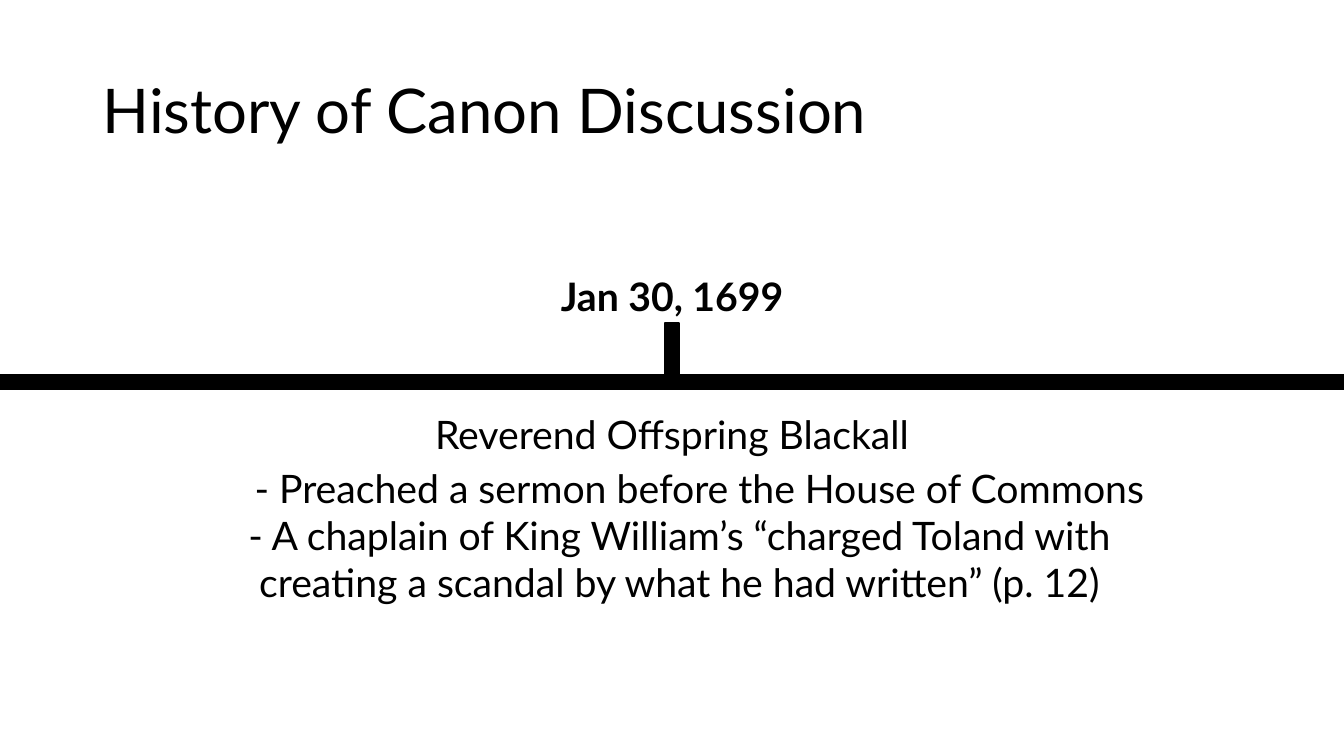
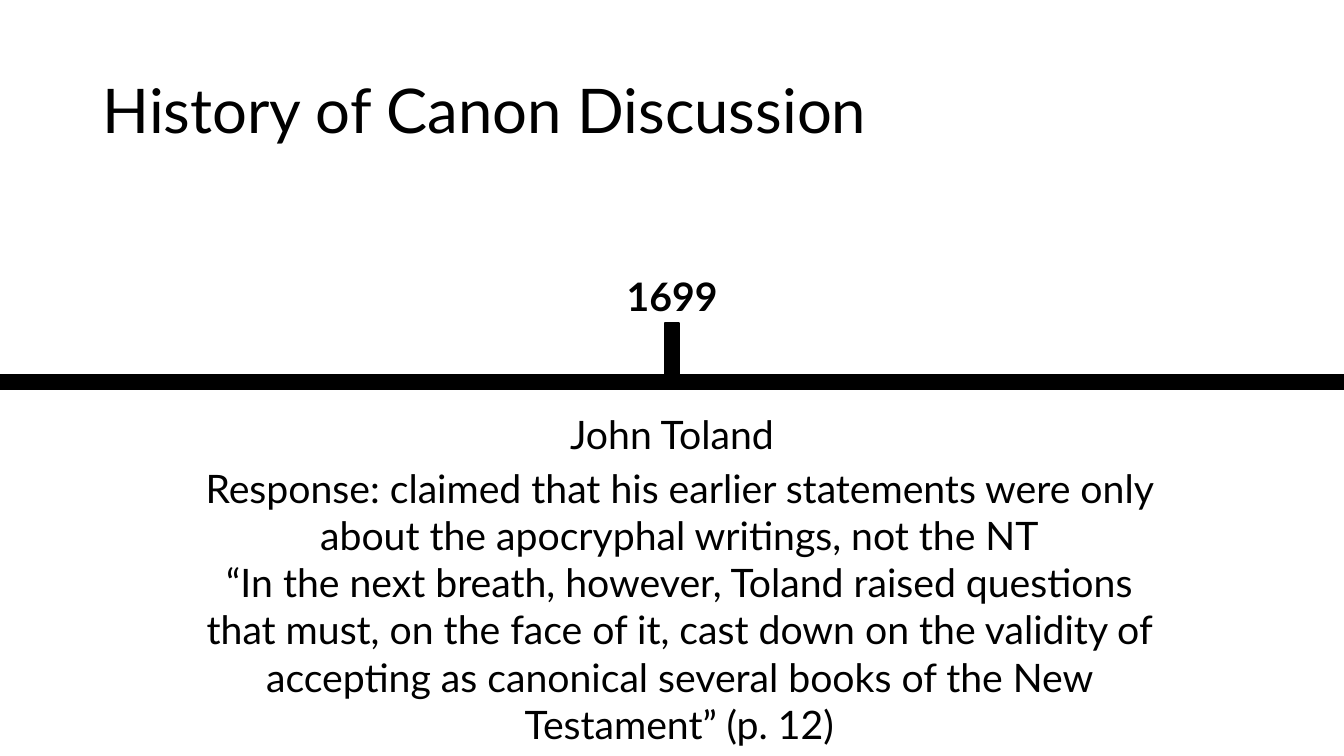
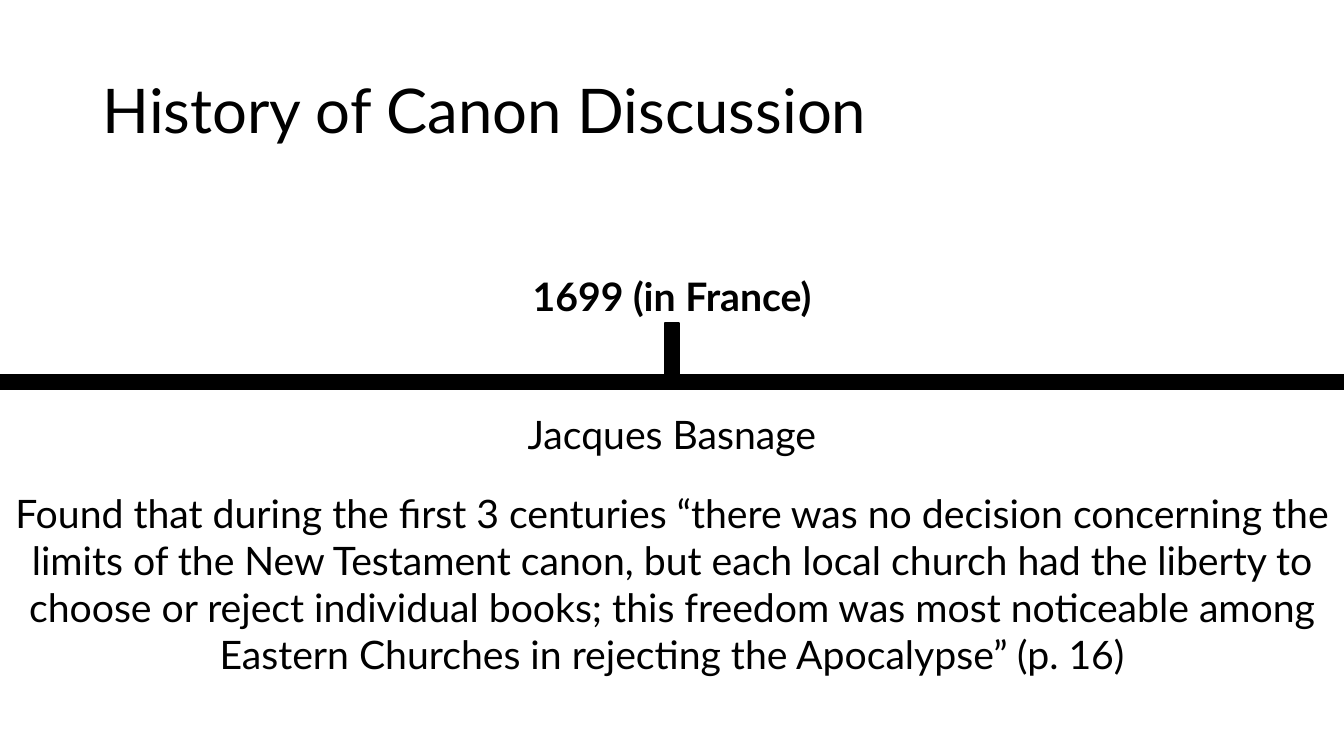
from pptx import Presentation
from pptx.dml.color import RGBColor
from pptx.enum.shapes import MSO_SHAPE
from pptx.enum.text import MSO_ANCHOR, MSO_AUTO_SIZE, PP_ALIGN
from pptx.util import Pt

# Content
TITLE = "History of Canon Discussion"
EVENTS = [
    {"date": "Jan 30, 1699", "person": "Reverend Offspring Blackall",
     "details": ["- Preached a sermon before the House of Commons",
                 "- A chaplain of King William’s “charged Toland with creating "
                 "a scandal by what he had written” (p. 12)"],
     "place": (131, 328.3, 708.5), "lines": 3, "first_indent": 28.6},
    {"date": "1699", "person": "John Toland",
     "details": ["Response: claimed that his earlier statements were only about "
                 "the apocryphal writings, not the NT",
                 "“In the next breath, however, Toland raised questions that "
                 "must, on the face of it, cast down on the validity of accepting "
                 "as canonical several books of the New Testament” (p. 12)"],
     "place": (131, 328.3, 708.5), "lines": 6, "first_indent": 0},
    {"date": "1699 (in France)", "person": "Jacques Basnage",
     "details": ["Found that during the first 3 centuries “there was no decision "
                 "concerning the limits of the New Testament canon, but each local "
                 "church had the liberty to choose or reject individual books; this "
                 "freedom was most noticeable among Eastern Churches in rejecting "
                 "the Apocalypse” (p. 16)"],
     "place": (0, 345.6, 960), "lines": 4, "first_indent": 0},
]

# Shared style and layout, in points
COLORS = {"ink": "000000", "paper": "FFFFFF"}
FONT = "Lato"
TITLE_SIZE, TEXT_SIZE = 44, 28
LINE_HEIGHT, BOX_PADDING = 34, 7
SLIDE_W, SLIDE_H = 960, 540
TITLE_BOX = (66, 28.8, 828, 104.4)
AXIS = (-114, 268, 1210, 10)
TICK = (462, 244, 36, 10)
DATE_PLACE = (230.3, 190.8, 499.5)
PERSON_PLACE = (290.2, 289.4, 379.5)


def rgb(name):
    return RGBColor.from_string(COLORS[name])


def style_font(font, size, bold=False):
    font.name, font.size, font.bold = FONT, Pt(size), bold
    font.color.rgb = rgb("ink")


def add_title(slide):
    title = slide.shapes.title
    title.left, title.top, title.width, title.height = map(Pt, TITLE_BOX)
    frame = title.text_frame
    frame.text = TITLE
    frame.auto_size = MSO_AUTO_SIZE.NONE
    frame.vertical_anchor = MSO_ANCHOR.MIDDLE
    paragraph = frame.paragraphs[0]
    paragraph.alignment = PP_ALIGN.LEFT
    paragraph.line_spacing = 0.9
    style_font(paragraph.runs[0].font, TITLE_SIZE)


def add_bar(slide, box, rotation=0):
    bar = slide.shapes.add_shape(MSO_SHAPE.RECTANGLE, *map(Pt, box))
    bar.rotation = rotation
    bar.shadow.inherit = False
    bar.fill.solid()
    bar.fill.fore_color.rgb = rgb("ink")
    bar.line.color.rgb = rgb("ink")
    bar.line.width = Pt(1.5)


def add_text(slide, place, texts, lines=1, bold=False, first_indent=0):
    height = lines * LINE_HEIGHT + BOX_PADDING
    frame = slide.shapes.add_textbox(*map(Pt, (*place, height))).text_frame
    frame.word_wrap = True
    frame.auto_size = MSO_AUTO_SIZE.SHAPE_TO_FIT_TEXT
    frame.text = "\n".join(texts)
    for paragraph in frame.paragraphs:
        paragraph.alignment = PP_ALIGN.CENTER
        style_font(paragraph.runs[0].font, TEXT_SIZE, bold)
    if first_indent:
        properties = frame.paragraphs[0]._p.get_or_add_pPr()
        properties.set("marL", str(int(Pt(first_indent))))


# Build the slides
prs = Presentation()
prs.slide_width, prs.slide_height = Pt(SLIDE_W), Pt(SLIDE_H)
background = prs.slide_master.background.fill
background.solid()
background.fore_color.rgb = rgb("paper")
title_only = prs.slide_layouts.get_by_name("Title Only")

for event in EVENTS:
    slide = prs.slides.add_slide(title_only)
    add_title(slide)
    add_bar(slide, AXIS)
    add_bar(slide, TICK, rotation=270)
    add_text(slide, DATE_PLACE, [event["date"]], bold=True)
    add_text(slide, PERSON_PLACE, [event["person"]])
    add_text(slide, event["place"], event["details"], event["lines"],
             first_indent=event["first_indent"])

prs.save("out.pptx")
